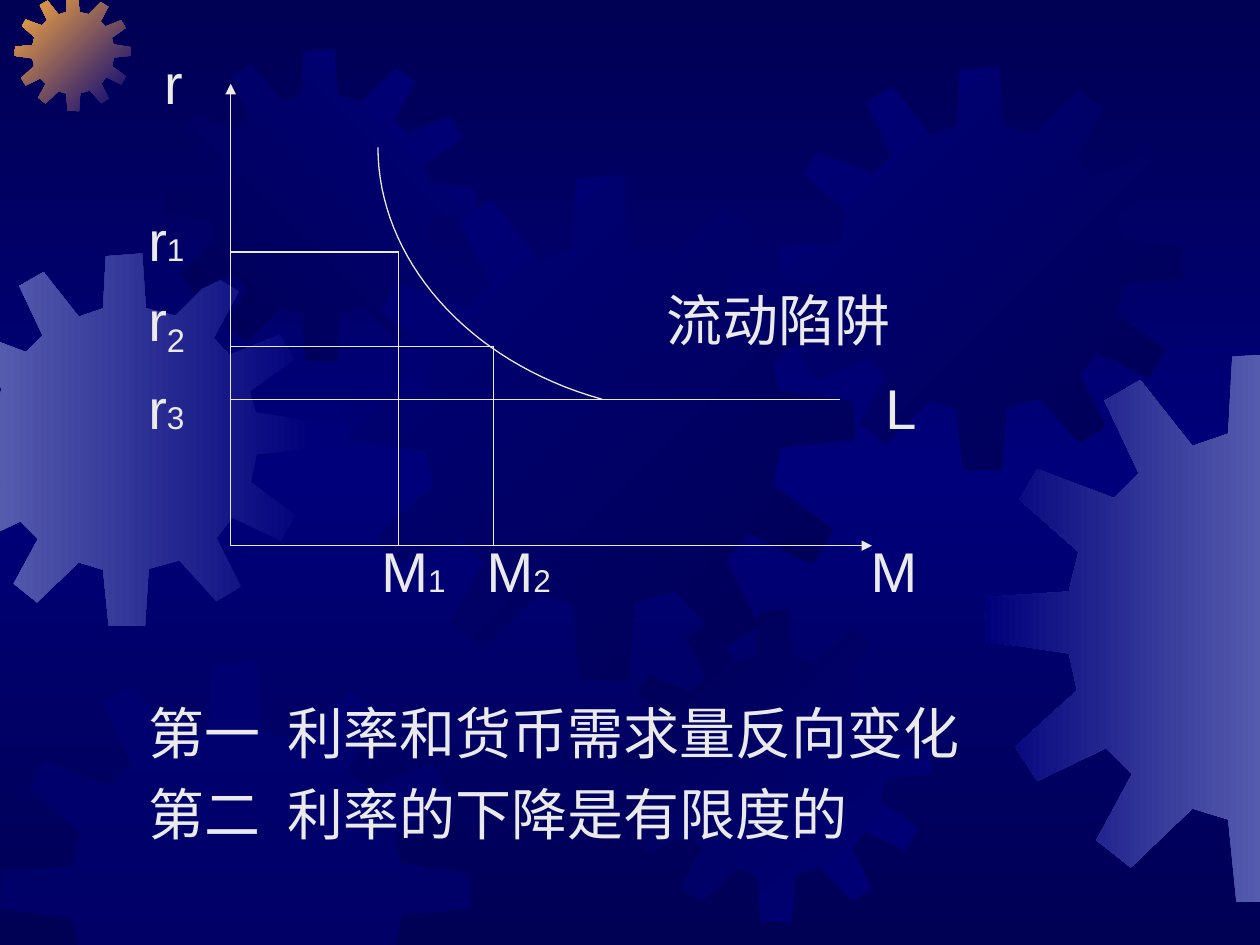
from copy import deepcopy

from lxml.etree import SubElement
from pptx import Presentation
from pptx.dml.color import RGBColor
from pptx.enum.shapes import MSO_CONNECTOR
from pptx.enum.text import MSO_ANCHOR
from pptx.oxml.ns import qn
from pptx.util import Cm, Pt

SLIDE_W, SLIDE_H = 25.4, 19.05
FONT = "Arial"
COLORS = {"ink": "EAEAEA", "night": "000054", "navy": "00007A",
          "steel": "555BAD", "orange": "FCAB40"}

# One gear outline on a 401-unit square, scaled for every gear.
GEAR_UNITS = 401
GEAR = [
    (255, 67), (223, 59), (219, 0), (180, 3), (177, 59), (151, 68), (113, 20), (87, 35),
    (112, 88), (94, 106), (38, 85), (25, 107), (68, 145), (61, 174), (1, 178), (0, 210),
    (61, 219), (67, 246), (22, 287), (38, 312), (88, 288), (107, 307), (81, 355), (106, 375),
    (151, 332), (177, 340), (183, 400), (222, 401), (226, 339), (259, 330), (299, 374), (325, 358),
    (299, 306), (316, 284), (368, 309), (384, 281), (336, 246), (342, 216), (401, 210), (400, 180),
    (341, 171), (335, 148), (383, 114), (367, 87), (313, 109), (296, 91), (323, 41), (297, 25),
]

# left, top, size (cm), start colour, end colour, clockwise angle
GEARS = [
    (-1.24, 5.11, 7.52, "navy", "steel", 180),
    (0.3, -0.1, 2.34, "navy", "orange", 225),
    (3.3, 0.99, 6.3, "navy", "night", 135),
    (7.04, 3.53, 10.19, "night", "navy", 225),
    (0, 13.34, 9.5, "navy", None, 0),
    (12.47, 12.29, 6.3, "navy", "night", 225),
    (15.7, 1.35, 8.13, "night", "navy", 225),
    (19.86, 7.11, 11.1, "steel", "navy", 180),
]


def rgb(name):
    return RGBColor.from_string(COLORS[name])


def set_gradient(fill, start, end, angle):
    fill.gradient()
    fill.gradient_angle = (360 - angle) % 360
    for stop, name, position in zip(fill.gradient_stops, (start, end), (0, 1)):
        stop.color.rgb = rgb(name)
        stop.position = position


def paint_background(s):
    """Fill the slide with a dark-light-dark vertical gradient."""
    fill = s.background.fill
    set_gradient(fill, "night", "navy", 90)
    stops = s.background._cSld.find(".//" + qn("a:gsLst"))
    stops.append(deepcopy(stops[0]))
    for stop, position in zip(fill.gradient_stops, (0, 0.5, 1)):
        stop.position = position


def clip(points, axis, limit, sign):
    """Cut a polygon at a horizontal or vertical limit."""
    kept = []
    for a, b in zip(points, points[1:] + points[:1]):
        a_in, b_in = ((p[axis] - limit) * sign >= 0 for p in (a, b))
        if a_in:
            kept.append(a)
        if a_in != b_in:
            t = (limit - a[axis]) / (b[axis] - a[axis])
            kept.append(tuple(u + t * (v - u) for u, v in zip(a, b)))
    return kept


def add_outline(s, points, close):
    points = [(Cm(x), Cm(y)) for x, y in points]
    builder = s.shapes.build_freeform(*points[0], scale=1.0)
    builder.add_line_segments(points[1:], close=close)
    sp = builder.convert_to_shape()
    sp.shadow.inherit = False
    return sp


def add_gear(s, left, top, size, start, end, angle):
    points = [(left + x * size / GEAR_UNITS, top + y * size / GEAR_UNITS) for x, y in GEAR]
    for axis, limit, sign in ((0, 0, 1), (0, SLIDE_W, -1), (1, 0, 1), (1, SLIDE_H, -1)):
        points = clip(points, axis, limit, sign)
    sp = add_outline(s, points, True)
    sp.line.fill.background()
    if end:
        set_gradient(sp.fill, start, end, angle)
    else:
        sp.fill.solid()
        sp.fill.fore_color.rgb = rgb(start)
        color = sp._element.spPr.find(".//" + qn("a:srgbClr"))
        SubElement(color, qn("a:alpha"), val="50000")


def add_line(s, x1, y1, x2, y2, arrow=False):
    line = s.shapes.add_connector(MSO_CONNECTOR.STRAIGHT, Cm(x1), Cm(y1), Cm(x2), Cm(y2))
    line.line.color.rgb = rgb("ink")
    line.line.width = Pt(0.75)
    if arrow:
        SubElement(line.line._get_or_add_ln(), qn("a:tailEnd"), type="triangle")
    SubElement(line._element.spPr, qn("a:effectLst"))


def style(p):
    p.font.name = FONT
    p.font.size = Pt(32)
    p.font.color.rgb = rgb("ink")


def zero_insets(tf):
    tf.margin_left = tf.margin_right = tf.margin_top = tf.margin_bottom = 0


def add_label(s, left, top, text, index="", lowered=False, width=1.7):
    tf = s.shapes.add_textbox(Cm(left), Cm(top), Cm(width), Cm(1.4)).text_frame
    tf.word_wrap = True
    zero_insets(tf)
    p = tf.paragraphs[0]
    style(p)
    p.add_run().text = text
    if index:
        r = p.add_run()
        r.text = index
        if lowered:
            r._r.get_or_add_rPr().set("baseline", "-20000")
        else:
            r.font.size = Pt(18)


def bezier(p0, p1, p2, p3, steps=32):
    for i in range(steps + 1):
        t = i / steps
        u = 1 - t
        yield tuple(u**3 * a + 3 * u * u * t * b + 3 * u * t * t * c + t**3 * d
                    for a, b, c, d in zip(p0, p1, p2, p3))


def draw_diagram(s, left, top, width, height):
    """Money demand curve with its axes, guides and labels."""
    bottom = top + height
    add_line(s, left, bottom, left, top, arrow=True)
    add_line(s, left, bottom, left + width, bottom, arrow=True)

    floor = 6.36
    control = [(7.49, floor), (4.75, 5.6), (2.97, 3.51), (2.97, 1.28)]
    curve = add_outline(s, [(left + x, top + y) for x, y in bezier(*control)], False)
    curve.fill.background()
    curve.line.color.rgb = rgb("ink")
    curve.line.width = Pt(0.75)

    add_line(s, left, top + floor, left + 12.28, top + floor)
    for offset in (3.39, 5.3):
        add_line(s, left, top + offset, left + offset, top + offset)
        add_line(s, left + offset, top + offset, left + offset, bottom)

    add_label(s, left - 1.34, top - 0.71, "r")
    add_label(s, left - 1.66, top + 2.46, "r", "1")
    add_label(s, left - 1.66, top + 4.07, "r", "2", lowered=True)
    add_label(s, left - 1.66, top + 5.85, "r", "3")
    add_label(s, left + 8.78, top + 4.07, "流动陷阱", width=5)
    add_label(s, left + 13.2, top + 5.85, "L")
    for x, index in ((3.04, "1"), (5.16, "2"), (12.9, "")):
        add_label(s, left + x, bottom - 0.18, "M", index)


def write_conclusions(s, body, left, top, width, height):
    """Place the two conclusions in the body placeholder, in front of the gears."""
    s.shapes._spTree.append(body._element)
    body.left, body.top, body.width, body.height = map(Cm, (left, top, width, height))
    tf = body.text_frame
    tf.word_wrap = True
    tf.vertical_anchor = MSO_ANCHOR.TOP
    zero_insets(tf)
    tf.text = "第一\t利率和货币需求量反向变化\n第二\t利率的下降是有限度的"
    for p in tf.paragraphs:
        style(p)
        p.space_before = Pt(0)
        p.space_after = Pt(8)
        pPr = p._p.get_or_add_pPr()
        pPr.set("marL", str(Cm(2.8)))
        pPr.set("indent", str(-Cm(2.8)))
        pPr.insert_element_before(pPr.makeelement(qn("a:buNone"), {}),
                                  "a:tabLst", "a:defRPr", "a:extLst")


def main():
    prs = Presentation()
    prs.slide_width, prs.slide_height = Cm(SLIDE_W), Cm(SLIDE_H)
    s = prs.slides.add_slide(prs.slide_layouts[1])
    title = s.shapes.title._element
    title.getparent().remove(title)
    paint_background(s)
    for gear in GEARS:
        add_gear(s, *gear)
    draw_diagram(s, 4.65, 1.69, 12.93, 9.31)
    write_conclusions(s, s.placeholders[1], 2.99, 14.08, 21, 3.6)
    prs.save("out.pptx")


if __name__ == "__main__":
    main()
